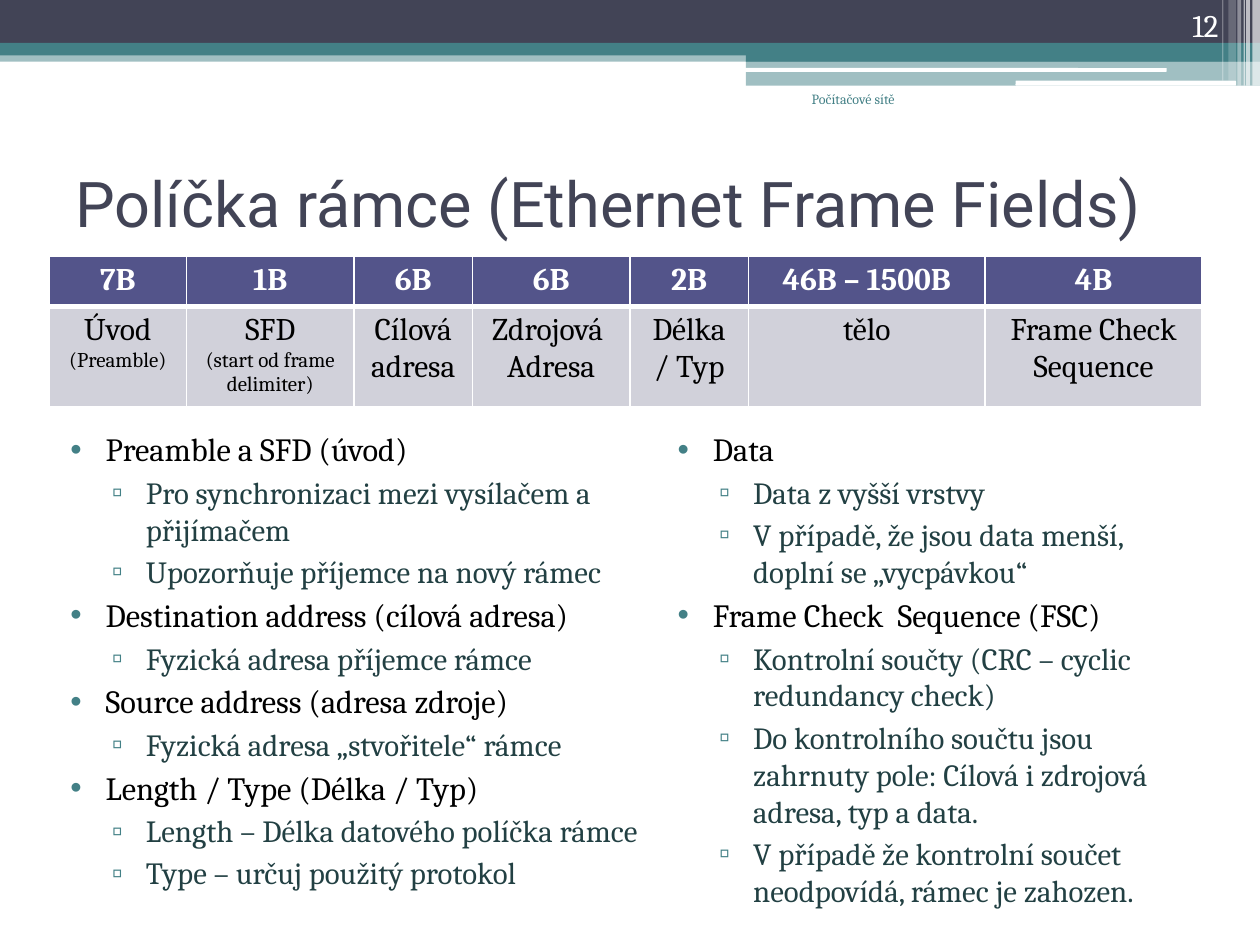
from dataclasses import dataclass

import pptx
import pptx.dml.color
import pptx.enum.shapes
import pptx.enum.text
import pptx.oxml
import pptx.oxml.ns
import pptx.util

COLORS = {
    "white": "FFFFFF", "black": "000000", "navy": "424456", "teal": "438086",
    "deep_teal": "224043", "header": "53548A", "cell": "D1D1DA",
}
SERIF, SANS = "Cambria", "Roboto"
ALIGN = pptx.enum.text.PP_ALIGN
ANCHOR = pptx.enum.text.MSO_ANCHOR
SHAPE = pptx.enum.shapes.MSO_SHAPE

prs = pptx.Presentation()
prs.slide_width = pptx.util.Inches(10)
prs.slide_height = pptx.util.Inches(7.5)
s = prs.slides.add_slide(prs.slide_layouts[6])


@dataclass
class Box:
    """Position and size in percent of the slide's width and height."""
    x: float
    y: float
    w: float
    h: float

    def emu(self) -> list[int]:
        sides = (prs.slide_width, prs.slide_height) * 2
        return [round(v * side / 100) for v, side in zip((self.x, self.y, self.w, self.h), sides)]


@dataclass
class Band:
    box: Box
    color: str
    alpha: int = 100
    rounded: bool = False


@dataclass
class Level:
    size: float
    color: str
    bullet: str
    left: float
    hanging: float


@dataclass
class Field:
    length: str
    width: float
    lines: list[tuple[str, int]]


def rgb(name: str) -> pptx.dml.color.RGBColor:
    return pptx.dml.color.RGBColor.from_string(COLORS[name])


def xml(tag: str, body: str = "", attrs: str = ""):
    return pptx.oxml.parse_xml(f'<a:{tag} {pptx.oxml.ns.nsdecls("a")} {attrs}>{body}</a:{tag}>')


def solid(name: str) -> str:
    return f'<a:solidFill><a:srgbClr val="{COLORS[name]}"/></a:solidFill>'


def write(p, text: str, *, size: float, color: str, font: str = SERIF,
          bold: bool = False, align=ALIGN.LEFT) -> None:
    p.alignment = align
    r = p.add_run()
    r.text = text
    r.font.size, r.font.name, r.font.bold = pptx.util.Pt(size), font, bold
    r.font.color.rgb = rgb(color)


def add_frame(box: Box, anchor=ANCHOR.TOP):
    tf = s.shapes.add_textbox(*box.emu()).text_frame
    tf.word_wrap = True
    tf.vertical_anchor = anchor
    return tf


def draw_band(band: Band) -> None:
    kind = SHAPE.ROUNDED_RECTANGLE if band.rounded else SHAPE.RECTANGLE
    sp = s.shapes.add_shape(kind, *band.box.emu())
    sp.shadow.inherit = False
    sp.fill.solid()
    sp.fill.fore_color.rgb = rgb(band.color)
    sp.line.fill.background()
    if band.alpha < 100:
        clr = sp.fill._xPr.find(".//" + pptx.oxml.ns.qn("a:srgbClr"))
        clr.append(xml("alpha", attrs=f'val="{band.alpha * 1000}"'))


def draw_list(box: Box, items: list[tuple[int, str]]) -> None:
    tf = add_frame(box)
    for i, (depth, text) in enumerate(items):
        level = LEVELS[depth]
        p = tf.paragraphs[0] if i == 0 else tf.add_paragraph()
        p.level = depth
        p.space_before = pptx.util.Pt(3)
        write(p, text, size=level.size, color=level.color)
        pPr = p._p.get_or_add_pPr()
        pPr.set("marL", str(pptx.util.Inches(level.left)))
        pPr.set("indent", str(-pptx.util.Inches(level.hanging)))
        pPr.append(xml("buClr", f'<a:srgbClr val="{COLORS["teal"]}"/>'))
        pPr.append(xml("buFont", attrs='typeface="Arial"'))
        pPr.append(xml("buChar", attrs=f'char="{level.bullet}"'))


def fill_cell(cell, lines: list[tuple[str, int]], fill: str, color: str,
              bold: bool, borders: dict[str, int]) -> None:
    for i, (text, size) in enumerate(lines):
        p = cell.text_frame.paragraphs[0] if i == 0 else cell.text_frame.add_paragraph()
        write(p, text, size=size, color=color, bold=bold, align=ALIGN.CENTER)
    tcPr = cell._tc.get_or_add_tcPr()
    for side, width in borders.items():
        tcPr.append(xml(f"ln{side}", solid("white"), f'w="{pptx.util.Pt(width)}"'))
    cell.fill.solid()
    cell.fill.fore_color.rgb = rgb(fill)


def draw_fields(box: Box, fields: list[Field]) -> None:
    table = s.shapes.add_table(2, len(fields), *box.emu()).table
    for row, height in zip(table.rows, (0.38, 0.78)):
        row.height = pptx.util.Inches(height)
    for col, field in enumerate(fields):
        table.columns[col].width = round(prs.slide_width * field.width / 100)
        fill_cell(table.cell(0, col), [(field.length, 18)], "header", "white", True,
                  {"L": 1, "R": 1, "T": 1, "B": 3})
        fill_cell(table.cell(1, col), field.lines, "cell", "black", False,
                  {"L": 1, "R": 1, "T": 3, "B": 1})


# Header bands, then the thin vertical stripes at the right edge
BANDS = [
    Band(Box(0, 5.33, 100, 1.2), "teal", 50),
    Band(Box(0, 0, 100, 4.53), "navy"),
    Band(Box(0, 4.53, 100, 1.33), "teal"),
    Band(Box(59.2, 5.2, 40.8, 1.33), "teal"),
    Band(Box(59.2, 6.4, 40.8, 2.67), "teal", 50),
    Band(Box(59.1, 7.2, 33.5, 0.4), "white", rounded=True),
    Band(Box(80.6, 8.53, 17.5, 0.53), "white", rounded=True),
]
STRIPES = [(99.4, 0.6, 9.07, 65), (98.9, 0.3, 9.07, 65), (98.7, 0.1, 9.07, 60),
           (98.2, 0.3, 9.07, 40), (97.5, 0.6, 8.53, 20), (97, 0.1, 8.53, 30)]
BANDS += [Band(Box(x, 0, w, h), "white", alpha) for x, w, h, alpha in STRIPES]

FIELDS = [
    Field("7B", 10.9, [("Úvod", 18), ("(Preamble)", 12)]),
    Field("1B", 13.3, [("SFD", 18), ("(start od frame delimiter)", 12)]),
    Field("6B", 9.4, [("Cílová adresa", 18)]),
    Field("6B", 12.5, [("Zdrojová ", 18), ("Adresa", 18)]),
    Field("2B", 9.4, [("Délka / Typ", 18)]),
    Field("46B – 1500B", 18.8, [("tělo", 18)]),
    Field("4B", 17.2, [("Frame Check Sequence", 18)]),
]

LEVELS = [Level(18.5, "black", "•", 0.4, 0.28), Level(17.6, "deep_teal", "▫", 0.72, 0.27)]
ADDRESSING = [
    (0, "Preamble a SFD (úvod)"),
    (1, "Pro synchronizaci mezi vysílačem a přijímačem"),
    (1, "Upozorňuje příjemce na nový rámec"),
    (0, "Destination address (cílová adresa)"),
    (1, "Fyzická adresa příjemce rámce"),
    (0, "Source address (adresa zdroje)"),
    (1, "Fyzická adresa „stvořitele“ rámce"),
    (0, "Length / Type (Délka / Typ)"),
    (1, "Length – Délka datového políčka rámce"),
    (1, "Type – určuj použitý protokol"),
]
PAYLOAD = [
    (0, "Data"),
    (1, "Data z vyšší vrstvy"),
    (1, "V případě, že jsou data menší, doplní se „vycpávkou“"),
    (0, "Frame Check  Sequence (FSC)"),
    (1, "Kontrolní součty (CRC – cyclic redundancy check)"),
    (1, "Do kontrolního součtu jsou zahrnuty pole: Cílová i zdrojová adresa, typ a data."),
    (1, "V případě že kontrolní součet neodpovídá, rámec je zahozen."),
]

for band in BANDS:
    draw_band(band)

# Title, footer and slide number
write(add_frame(Box(5, 13.6, 90, 15.6), ANCHOR.MIDDLE).paragraphs[0],
      "Políčka rámce (Ethernet Frame Fields)", size=36, color="navy", font=SANS)
write(add_frame(Box(57.5, 8.93, 14.5, 6.67)).paragraphs[0],
      "Počítačové sítě", size=8, color="teal", align=ALIGN.RIGHT)
write(add_frame(Box(89.4, 0, 8.3, 5.33), ANCHOR.BOTTOM).paragraphs[0],
      "12", size=18, color="white", align=ALIGN.RIGHT)

# Explanations in two columns, and the frame layout table
draw_list(Box(3.4, 44.8, 49.7, 51.87), ADDRESSING)
draw_list(Box(51.6, 44.8, 45.3, 51.87), PAYLOAD)
draw_fields(Box(3.9, 27.07, 91.5, 15.47), FIELDS)

prs.save("out.pptx")
